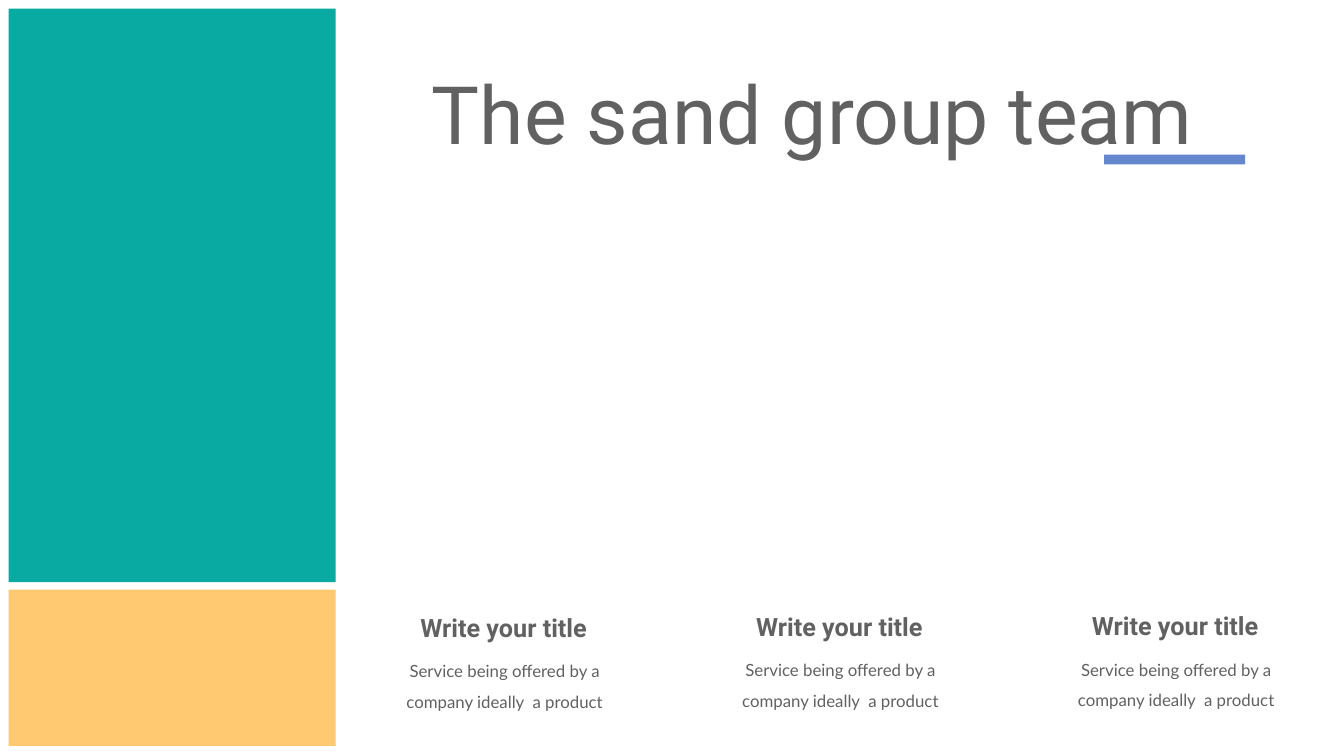
from dataclasses import dataclass

from pptx import Presentation
from pptx import util as u
from pptx.dml.color import RGBColor
from pptx.enum import shapes, text
from pptx.util import Inches


@dataclass(frozen=True)
class Theme:
    teal: str = "08AAA2"
    sand: str = "FFC971"
    accent: str = "6587CD"
    ink: str = "606160"
    heading_font: str = "Roboto"
    body_font: str = "Lato"
    title_size: int = 115
    heading_size: int = 36
    body_size: int = 24


theme = Theme()


def write(box, words, *, size, font, bold=False, line_pt=None, inset=(0.1, 0.05)):
    """Fill a text box or placeholder with one centred paragraph."""
    frame = box.text_frame
    frame.word_wrap = True
    frame.auto_size = text.MSO_AUTO_SIZE.SHAPE_TO_FIT_TEXT
    frame.vertical_anchor = text.MSO_ANCHOR.TOP
    frame.margin_left = frame.margin_right = Inches(inset[0])
    frame.margin_top = frame.margin_bottom = Inches(inset[1])
    para = frame.paragraphs[0]
    para.alignment = text.PP_ALIGN.CENTER
    if line_pt:
        para.line_spacing = u.Pt(line_pt)
    span = para.add_run()
    span.text = words
    span.font.name = font
    span.font.size = u.Pt(size)
    span.font.bold = bold
    span.font.color.rgb = RGBColor.from_string(theme.ink)


deck = Presentation()
deck.slide_width, deck.slide_height = Inches(26.66), Inches(15)
page = deck.slides.add_slide(deck.slide_layouts[5])

# Side panels and the bar under the title
for left, top, width, height, colour in [
    (0.17, 11.7, 6.49, 3.1, theme.sand),
    (0.17, 0.17, 6.49, 11.38, theme.teal),
    (21.9, 3.07, 2.8, 0.19, theme.accent),
]:
    panel = page.shapes.add_shape(
        shapes.MSO_SHAPE.RECTANGLE,
        Inches(left), Inches(top), Inches(width), Inches(height),
    )
    panel.shadow.inherit = False
    panel.fill.solid()
    panel.fill.fore_color.rgb = RGBColor.from_string(colour)
    panel.line.fill.background()

title = page.shapes.title
title.left, title.top = Inches(8.39), Inches(1.22)
title.width, title.height = Inches(15.84), Inches(2.04)
write(title, "The sand group team ", size=theme.title_size, font=theme.heading_font)

# Three team captions, evenly spaced
for column, top in enumerate([12.09, 12.07, 12.06]):
    left = 7.23 + 6.66 * column
    heading = page.shapes.add_textbox(
        Inches(left + 0.34), Inches(top), Inches(4.84), Inches(0.71))
    write(heading, "Write your title", size=theme.heading_size,
          font=theme.heading_font, bold=True)
    caption = page.shapes.add_textbox(
        Inches(left), Inches(top + 0.71), Inches(5.56), Inches(1.38))
    write(caption, "Service being offered by a company ideally  a product",
          size=theme.body_size, font=theme.body_font, line_pt=43,
          inset=(0.24, 0.12))

deck.save("out.pptx")
